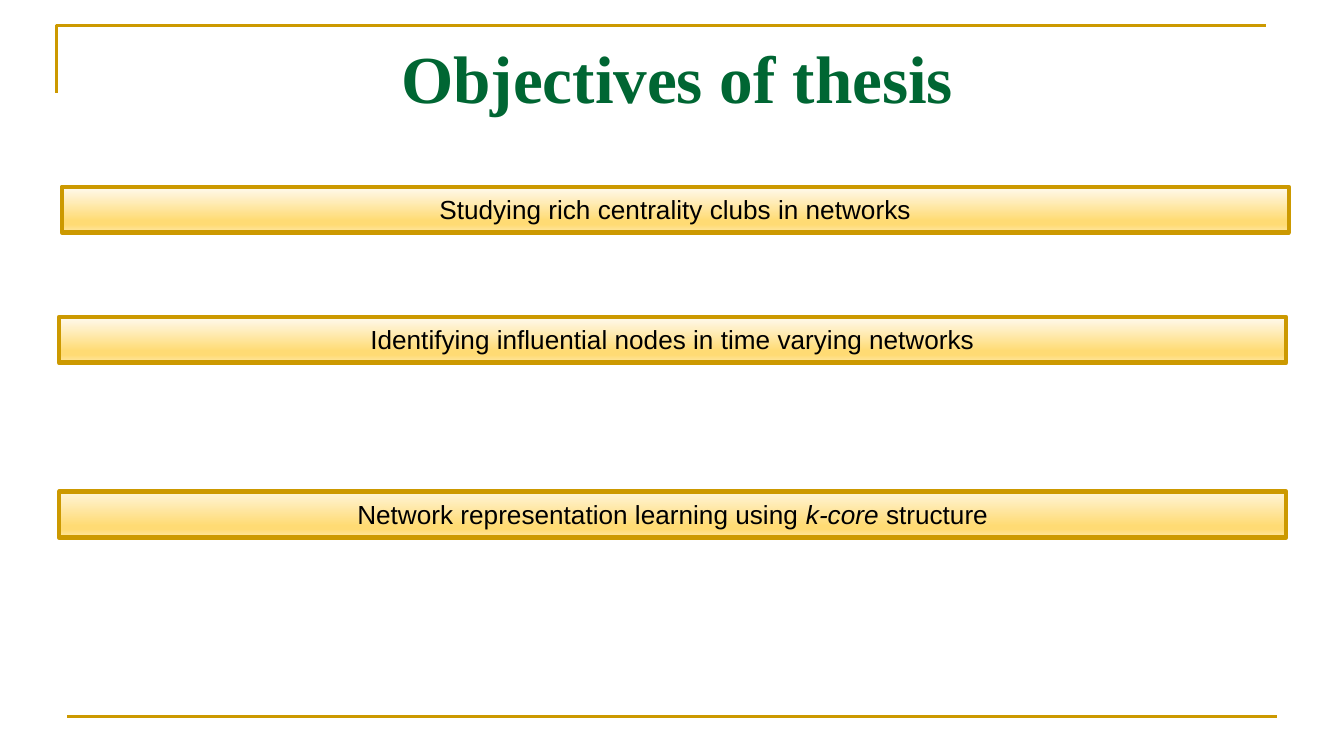
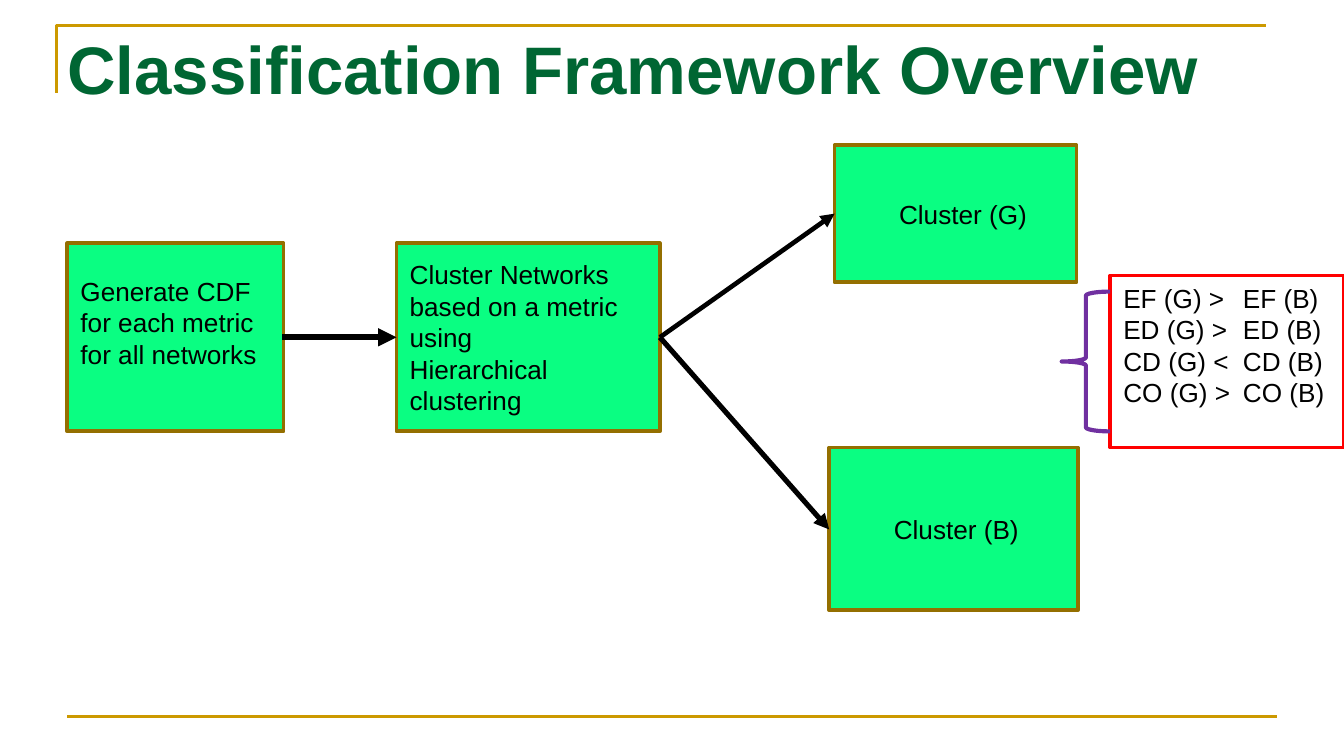
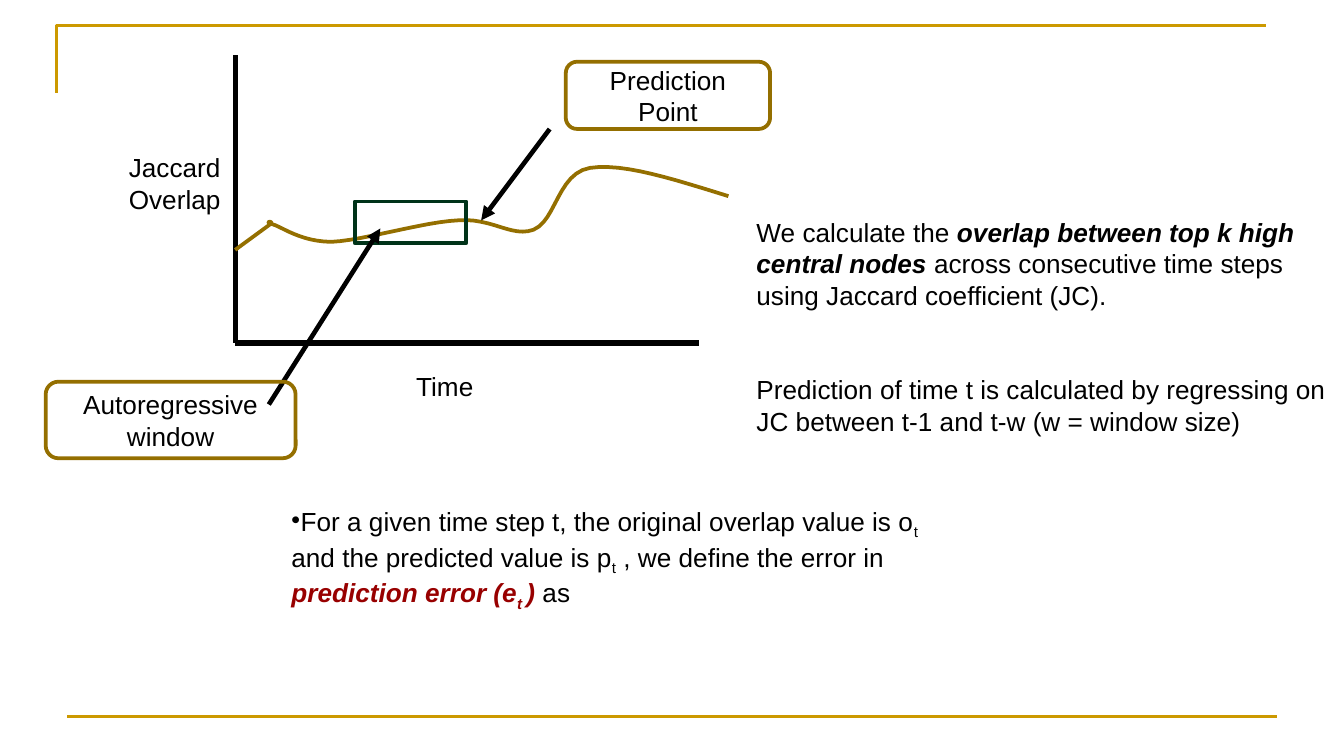
from lxml.etree import SubElement
from pptx import Presentation
from pptx.dml.color import RGBColor
from pptx.enum.shapes import MSO_CONNECTOR, MSO_SHAPE as SHAPE
from pptx.enum.text import MSO_ANCHOR as ANCHOR, PP_ALIGN as ALIGN
from pptx.oxml.ns import qn
from pptx.util import Inches, Pt

# The grid: one cell is a tenth of an inch wide and high.
CELL = Inches(0.1)
COLS, ROWS = 100, 56.25

COLORS = {
    "gold": "CC9900", "bronze": "946F00", "title": "006633",
    "text": "000000", "box": "0AFE82", "white": "FFFFFF",
    "red": "FF0000", "purple": "7030A0", "window": "003319",
    "term": "980000",
}
GLOW = [(74, "FFDB74"), (83, "FFDB74"), (100, "FFE6A3")]


def cells(*values):
    return [int(v * CELL) for v in values]


def rgb(name):
    return RGBColor.from_string(COLORS[name])


def bezier(p0, p1, p2, p3, steps=12):
    """Points along a cubic curve, without its start."""
    points = []
    for i in range(1, steps + 1):
        t = i / steps
        u = 1 - t
        weights = (u ** 3, 3 * u * u * t, 3 * u * t * t, t ** 3)
        points.append(tuple(sum(w * p[axis] for w, p in zip(weights, (p0, p1, p2, p3)))
                            for axis in (0, 1)))
    return points


def write(sp, paragraphs, *, size=14, font="Arial", color="text", bold=False,
          align=ALIGN.LEFT, anchor=ANCHOR.TOP, insets=(1, 0.5, 1, 0.5),
          gap=0, tab=None, bullet=None):
    """Fill a shape; a paragraph is a string or a list of (text, run format) pairs."""
    tf = sp.text_frame
    tf.word_wrap = True
    tf.vertical_anchor = anchor
    tf.margin_left, tf.margin_top, tf.margin_right, tf.margin_bottom = cells(*insets)
    for i, runs in enumerate(paragraphs):
        p = tf.paragraphs[0] if i == 0 else tf.add_paragraph()
        p.alignment = align
        if i and gap:
            p.space_before = Pt(gap)
        pPr = p._p.get_or_add_pPr()
        if bullet:
            pPr.set("marL", "0")
            pPr.set("indent", str(-CELL))
            SubElement(SubElement(pPr, qn("a:buClr")), qn("a:srgbClr"), val=COLORS["text"])
            SubElement(pPr, qn("a:buChar"), char=bullet)
        if tab:
            SubElement(SubElement(pPr, qn("a:tabLst")), qn("a:tab"),
                       pos=str(cells(tab)[0]), algn="l")
        for text, style in [(runs, {})] if isinstance(runs, str) else runs:
            r = p.add_run()
            r.text = text
            r.font.name, r.font.size = font, Pt(size)
            r.font.color.rgb = rgb(style.get("color", color))
            r.font.bold = style.get("bold", bold)
            r.font.italic = style.get("italic", False)
            if style.get("sub"):
                r.font._element.set("baseline", "-25000")


class Deck:
    def __init__(self):
        self.prs = Presentation()
        self.prs.slide_width, self.prs.slide_height = cells(COLS, ROWS)
        self.s = None

    def new_slide(self):
        self.s = self.prs.slides.add_slide(self.prs.slide_layouts[6])
        self.path_line([(4.2, 6.9), (4.2, 1.9), (94.2, 1.9)], "gold", 1.5)
        self.line((5, 53.3), (95, 53.3), color="gold", width=1.5)

    def text(self, box, paragraphs, **fmt):
        write(self.s.shapes.add_textbox(*cells(*box)), paragraphs, **fmt)

    def title(self, box, text, **fmt):
        self.text(box, [text], size=36, color="title", bold=True,
                  insets=(0.9, 1.5, 0.9, 0), **fmt)

    def style(self, sp, fill, color, width):
        sp.shadow.inherit = False
        if fill:
            sp.fill.solid()
            sp.fill.fore_color.rgb = rgb(fill)
        else:
            sp.fill.background()
        sp.line.color.rgb = rgb(color)
        sp.line.width = Pt(width)

    def shape(self, kind, box, fill=None, color="bronze", width=2, paragraphs=(), **fmt):
        sp = self.s.shapes.add_shape(kind, *cells(*box))
        self.style(sp, fill, color, width)
        if paragraphs:
            write(sp, paragraphs, **fmt)
        return sp

    def bar(self, box, paragraph, top="FFFAEF", width=2.5):
        """A gold bar that shades downwards from the top colour."""
        sp = self.shape(SHAPE.RECTANGLE, box, None, "gold", width, [paragraph],
                        align=ALIGN.CENTER)
        sp.fill.gradient()
        sp.fill.gradient_angle = 270
        stops = sp._element.spPr.find(qn("a:gradFill")).find(qn("a:gsLst"))
        stops.clear()
        for share, value in [(0, top)] + GLOW:
            stop = SubElement(stops, qn("a:gs"), pos=str(share * 1000))
            SubElement(stop, qn("a:srgbClr"), val=value)

    def path_line(self, points, color, width):
        points = [cells(*pt) for pt in points]
        builder = self.s.shapes.build_freeform(*points[0])
        builder.add_line_segments(points[1:], close=False)
        self.style(builder.convert_to_shape(), None, color, width)

    def line(self, start, end, color="text", width=2.5, arrow=False):
        c = self.s.shapes.add_connector(MSO_CONNECTOR.STRAIGHT, *cells(*start, *end))
        c.line.color.rgb = rgb(color)
        c.line.width = Pt(width)
        if arrow:
            SubElement(c.line._get_or_add_ln(), qn("a:tailEnd"), type="triangle")
        SubElement(c._element.spPr, qn("a:effectLst"))


def objectives(deck):
    deck.new_slide()
    deck.title((7.9, 1.2, 85, 7), "Objectives of thesis",
               font="Times New Roman", align=ALIGN.CENTER)
    deck.bar((4.6, 13.9, 91.3, 3.4), "Studying rich centrality clubs in networks", width=2.25)
    deck.bar((4.4, 23.6, 91.3, 3.4), "Identifying influential nodes in time varying networks")
    deck.bar((4.4, 36.6, 91.3, 3.4),
             [("Network representation learning using ", {}),
              ("k-core", {"italic": True}), (" structure", {})], top="FFF5D9")


def framework(deck):
    deck.new_slide()
    deck.title((4.1, 0.5, 89.9, 11.2), "Classification Framework Overview")
    steps = [
        ((5, 18.1, 16.1, 14), ["Generate CDF for each metric", "for all networks"],
         (1, 0.5, 1, 2.7)),
        ((29.5, 18.1, 19.6, 14),
         ["Cluster Networks based on a metric using", "Hierarchical clustering"],
         (1, 0.5, 1, 0.5)),
        ((62.1, 10.8, 18, 10.2), ["Cluster (G)"], (4.8, 0.5, 1, 0.5)),
        ((61.7, 33.3, 18.5, 12.1), ["Cluster (B)"], (4.8, 0.5, 1, 0.5)),
    ]
    for box, paragraphs, insets in steps:
        deck.shape(SHAPE.FLOWCHART_PROCESS, box, "box", paragraphs=paragraphs,
                   anchor=ANCHOR.MIDDLE, insets=insets)
    split = (49.1, 25.1)
    deck.line((21, 25.1), (29.5, 25.1), width=3.25, arrow=True)
    deck.line(split, (62.1, 15.9), arrow=True)
    deck.line(split, (61.7, 39.4), width=2.75, arrow=True)
    signs = {"EF": ">", "ED": ">", "CD": "<", "CO": ">"}
    deck.shape(SHAPE.RECTANGLE, (82.6, 20.5, 17.4, 12.8), "white", "red",
               paragraphs=[f"{m} (G) {sign}\t{m} (B)" for m, sign in signs.items()],
               tab=8.9)
    deck.shape(SHAPE.LEFT_BRACE, (79, 21.7, 3.6, 10.4), color="purple", width=2.25)


def prediction(deck):
    deck.new_slide()
    origin = (17.5, 25.5)
    deck.line((17.5, 4.1), origin, width=2.75)
    deck.line(origin, (52, 25.5), width=3)
    curve = [(17.5, 18.6), (20.1, 16.7)]
    for bend in [
        ((20.5, 16.4), (19.5, 16.5), (20.3, 16.7)),
        ((21, 16.9), (22.4, 18), (24.7, 18)),
        ((27, 17.9), (31.6, 16.5), (34.1, 16.4)),
        ((36.6, 16.2), (38.1, 17.7), (39.7, 17.1)),
        ((41.4, 16.4), (41.5, 12.9), (43.9, 12.5)),
        ((46.4, 12.1), (50.3, 13.4), (54.2, 14.6)),
    ]:
        curve += bezier(curve[-1], *bend)
    deck.path_line(curve, "bronze", 2)
    deck.text((24.1, 27.1, 18, 3.4), ["Time"], align=ALIGN.CENTER)
    deck.text((8.6, 10.8, 8.9, 5.7), ["Jaccard", "Overlap"])
    deck.shape(SHAPE.RECTANGLE, (26.4, 15, 8.3, 3.1), color="window")
    deck.line((40.9, 9.6), (35.8, 16.4), arrow=True)
    deck.line((20, 30.1), (28.3, 17), arrow=True)
    for box, label in [((42.1, 4.6, 15.2, 5), "Prediction Point"),
                       ((3.4, 28.4, 18.6, 5.7), "Autoregressive window")]:
        deck.shape(SHAPE.ROUNDED_RECTANGLE, box, paragraphs=[label],
                   align=ALIGN.CENTER, anchor=ANCHOR.MIDDLE)
    strong = {"bold": True, "italic": True}
    term = {"color": "term", **strong}
    sub = {"sub": True}
    deck.text((55.3, 15.6, 44.5, 17.5), [
        [("We calculate the ", {}),
         ("overlap between top k high central nodes", strong),
         (" across consecutive time steps using Jaccard coefficient (JC).", {})],
        "Prediction of time t is calculated by regressing on JC between t-1 and t-w "
        "(w = window size)",
    ], gap=34)
    deck.text((20.7, 37.1, 49.6, 8.1), [
        [("For a given time step t, the original overlap value is o", {}), ("t", sub),
         (" and the predicted value is p", {}), ("t", sub),
         (" , we define the error in ", {}), ("prediction error (e", term),
         ("t ", {**term, **sub}), (") ", term), ("as", {})],
    ], bullet="•")


def main():
    deck = Deck()
    for build in (objectives, framework, prediction):
        build(deck)
    deck.prs.save("out.pptx")


if __name__ == "__main__":
    main()
